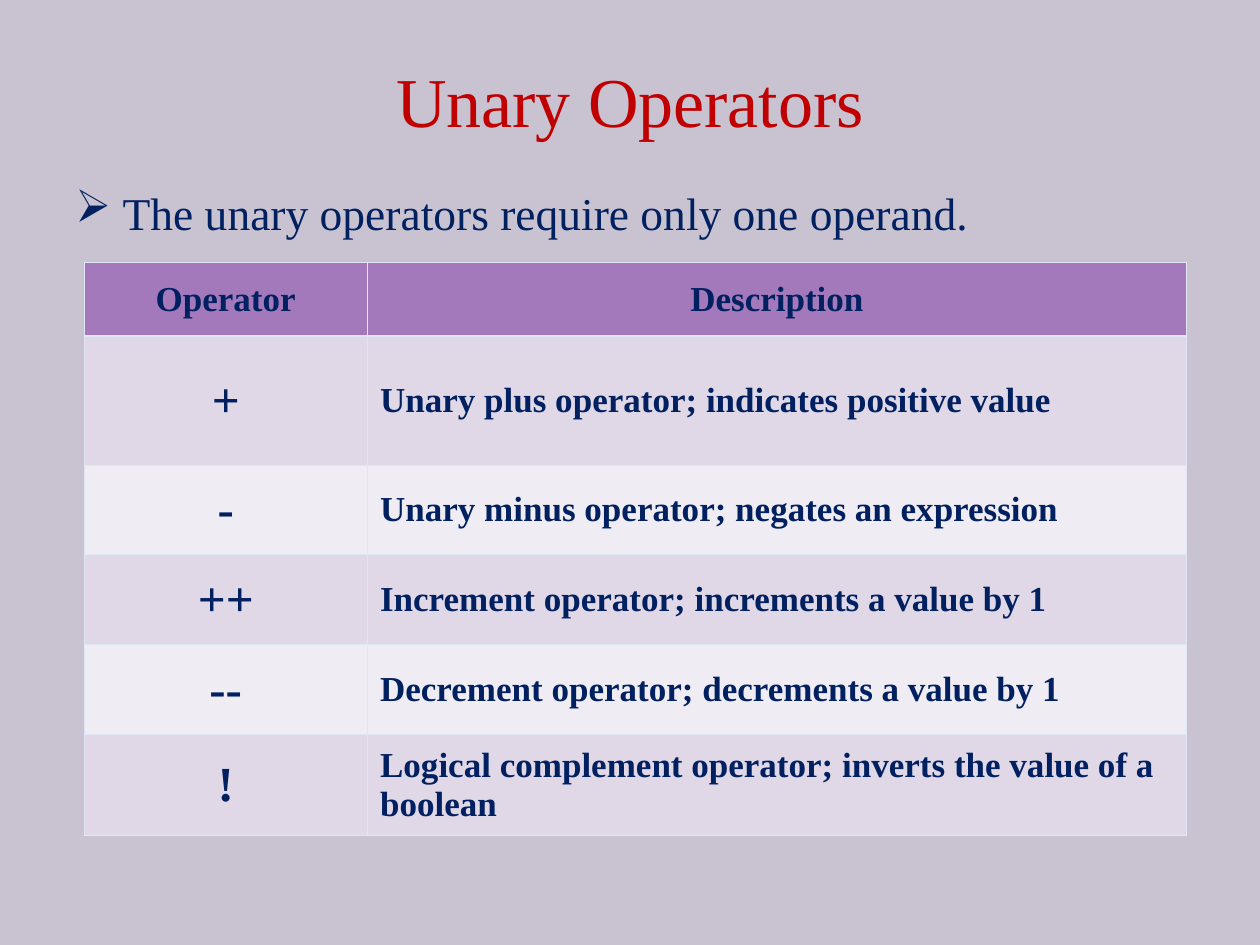
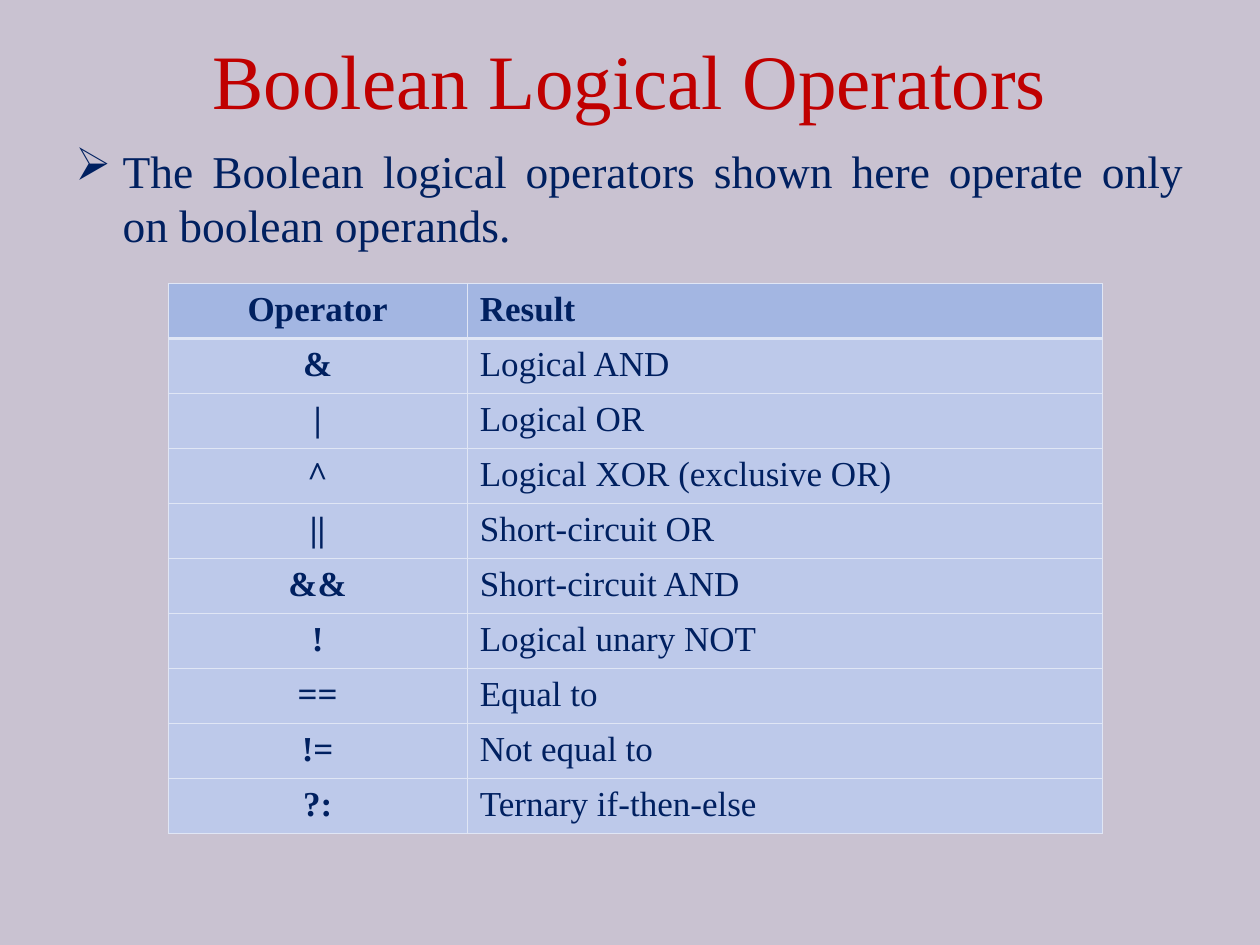
from lxml.etree import SubElement
from pptx import Presentation
from pptx.dml.color import RGBColor
from pptx.enum.text import MSO_ANCHOR, PP_ALIGN
from pptx.oxml.ns import qn
from pptx.util import Inches, Pt

INK = {
    "back": "C9C2D1",
    "title": "C00000",
    "text": "002060",
    "edge": "E0E6F5",
    "plum": "A379BB",
    "lilac": "E0D7E7",
    "pale": "F0ECF3",
    "blue": "A3B6E2",
    "sky": "BDC9EA",
}
FONT = "Times New Roman"
COLS, ROWS = 120, 90
THIN, THICK = 0.45, 1.47

UNARY = [
    ("Operator", "Description"),
    ("+", "Unary plus operator; indicates positive value"),
    ("-", "Unary minus operator; negates an expression"),
    ("++", "Increment operator; increments a value by 1"),
    ("--", "Decrement operator; decrements a value by 1"),
    ("!", "Logical complement operator; inverts the value of a boolean"),
]
LOGIC = [
    ("Operator", "Result"),
    ("&", "Logical AND"),
    ("|", "Logical OR"),
    ("^", "Logical XOR (exclusive OR)"),
    ("||", "Short-circuit OR"),
    ("&&", "Short-circuit AND"),
    ("!", "Logical unary NOT"),
    ("==", "Equal to"),
    ("!=", "Not equal to"),
    ("?:", "Ternary if-then-else"),
]


class Deck:
    def __init__(self):
        self.prs = Presentation()
        self.prs.slide_width = Inches(10)
        self.prs.slide_height = Inches(7.5)
        self.paint(self.prs.slide_master.background.fill, "back")

    def paint(self, fill, ink):
        fill.solid()
        fill.fore_color.rgb = RGBColor.from_string(INK[ink])

    def wide(self, cols):
        return round(self.prs.slide_width * cols / COLS)

    def high(self, rows):
        return round(self.prs.slide_height * rows / ROWS)

    def area(self, left, top, width, height):
        return self.wide(left), self.high(top), self.wide(width), self.high(height)

    def style(self, para, size, ink="text", bold=False, align=PP_ALIGN.LEFT):
        para.alignment = align
        for run in para.runs:
            font = run.font
            font.name, font.size, font.bold = FONT, Pt(size), bold
            font.color.rgb = RGBColor.from_string(INK[ink])

    def title(self, text, box, size):
        self.slide = self.prs.slides.add_slide(self.prs.slide_layouts[5])
        head = self.slide.shapes.title
        head.left, head.top, head.width, head.height = self.area(*box)
        frame = head.text_frame
        frame.text = text
        frame.vertical_anchor = MSO_ANCHOR.MIDDLE
        self.style(frame.paragraphs[0], size, "title", align=PP_ALIGN.CENTER)

    def bullet(self, text, box, align=PP_ALIGN.LEFT):
        frame = self.slide.shapes.add_textbox(*self.area(*box)).text_frame
        frame.word_wrap = True
        frame.text = text
        para = frame.paragraphs[0]
        props = para._p.get_or_add_pPr()
        dent = self.wide(4.5)
        props.set("marL", str(dent))
        props.set("indent", str(-dent))
        tint = SubElement(props, qn("a:buClr"))
        SubElement(tint, qn("a:srgbClr"), val=INK["text"])
        SubElement(props, qn("a:buChar"), char="➢")
        self.style(para, 26, align=align)

    def edge(self, cell, row):
        props = cell._tc.get_or_add_tcPr()
        heavy = {0: "B", 1: "T"}.get(row)
        for side in "LRTB":
            width = Pt(THICK if side == heavy else THIN)
            line = SubElement(props, qn(f"a:ln{side}"), w=str(width))
            fill = SubElement(line, qn("a:solidFill"))
            SubElement(fill, qn("a:srgbClr"), val=INK["edge"])

    def table(self, data, spot, cols, rows, inks, look):
        box = (*spot, sum(cols), sum(rows))
        grid = self.slide.shapes.add_table(len(rows), len(cols), *self.area(*box)).table
        grid.first_row = grid.horz_banding = False
        for col, width in zip(grid.columns, cols):
            col.width = self.wide(width)
        for row, height in zip(grid.rows, rows):
            row.height = self.high(height)
        head, *bands = inks
        for r, line in enumerate(data):
            for c, text in enumerate(line):
                cell = grid.cell(r, c)
                cell.text = text
                cell.vertical_anchor = look["anchor"]
                self.edge(cell, r)
                self.paint(cell.fill, bands[(r - 1) % len(bands)] if r else head)
                mid = c == 0 or (r == 0 and look["mid"])
                self.style(
                    cell.text_frame.paragraphs[0],
                    look["sign"] if r and c == 0 else 20,
                    bold=r == 0 or c == 0 or look["bold"],
                    align=PP_ALIGN.CENTER if mid else PP_ALIGN.LEFT,
                )


def main():
    deck = Deck()

    deck.title("Unary Operators", (9, 5, 102, 9), 40)
    deck.bullet("The unary operators require only one operand.", (6, 17, 108, 63))
    deck.table(
        UNARY, (8, 25), (27, 78), (7, 12.3, 8.55, 8.55, 8.55, 9.6),
        ("plum", "lilac", "pale"),
        {"anchor": MSO_ANCHOR.MIDDLE, "mid": True, "sign": 28, "bold": True},
    )

    deck.title("Boolean Logical Operators", (6, 0, 108, 15), 44)
    deck.bullet(
        "The Boolean logical operators shown here operate only on boolean operands.",
        (6, 13, 108, 14), PP_ALIGN.JUSTIFY,
    )
    deck.table(
        LOGIC, (16, 27), (28.5, 60.5), [5.24] * len(LOGIC),
        ("blue", "sky"),
        {"anchor": MSO_ANCHOR.TOP, "mid": False, "sign": 20, "bold": False},
    )
    deck.prs.save("out.pptx")


if __name__ == "__main__":
    main()
